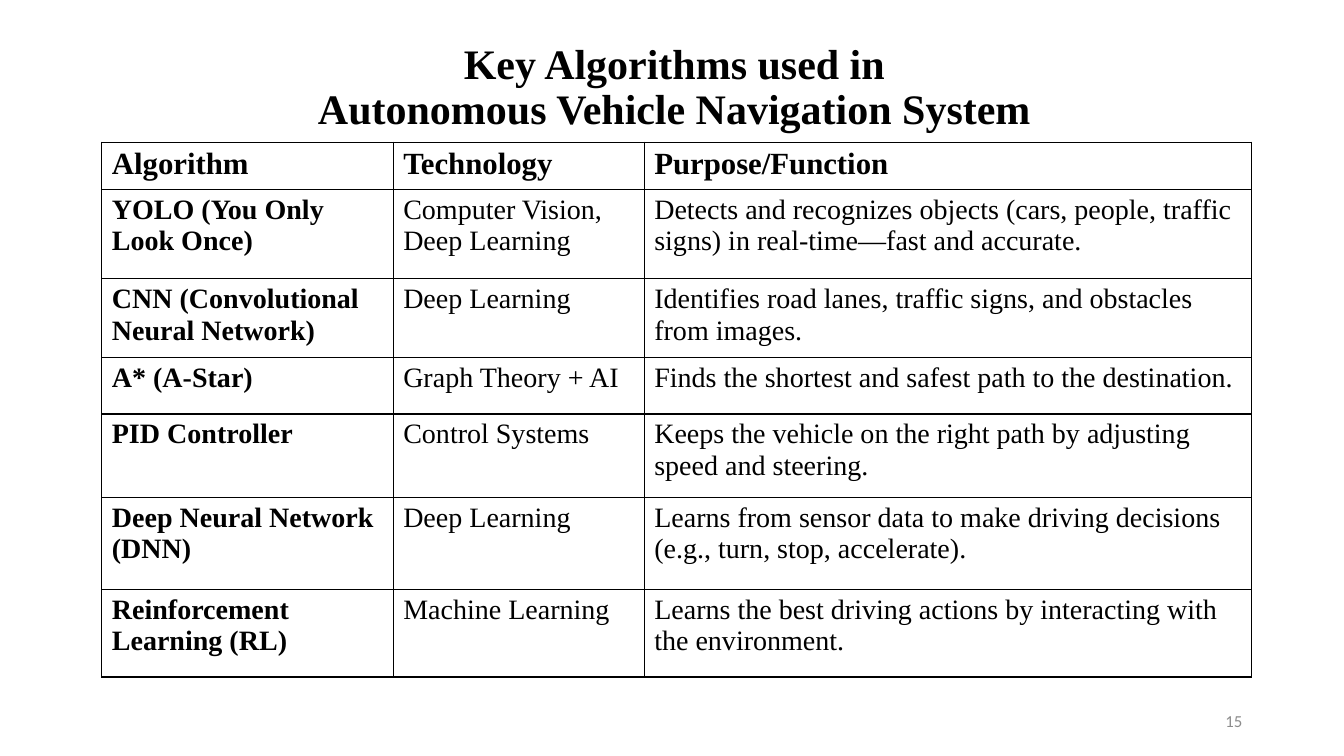
import pptx
import pptx.dml.color
import pptx.enum.text
import pptx.oxml
import pptx.oxml.ns
import pptx.util

PX = 9144  # 100 px to the inch
COLORS = {"ink": "000000", "paper": "FFFFFF", "number": "8C8C8C"}
ALIGN = pptx.enum.text.PP_ALIGN
MIDDLE = pptx.enum.text.MSO_ANCHOR.MIDDLE

COLUMN_WIDTHS = [289, 249, 602]
ROW_HEIGHTS = [44, 89, 78, 56, 83, 91, 87]
ROWS = [
    ("Algorithm", "Technology", "Purpose/Function"),
    ("YOLO (You Only Look Once)", "Computer Vision, Deep Learning",
     "Detects and recognizes objects (cars, people, traffic signs) in real-time—fast and accurate."),
    ("CNN (Convolutional Neural Network)", "Deep Learning",
     "Identifies road lanes, traffic signs, and obstacles from images."),
    ("A* (A-Star)", "Graph Theory + AI",
     "Finds the shortest and safest path to the destination."),
    ("PID Controller", "Control Systems",
     "Keeps the vehicle on the right path by adjusting speed and steering."),
    ("Deep Neural Network (DNN)", "Deep Learning",
     "Learns from sensor data to make driving decisions (e.g., turn, stop, accelerate)."),
    ("Reinforcement Learning (RL)", "Machine Learning",
     "Learns the best driving actions by interacting with the environment."),
]


def px(*lengths):
    return [pptx.util.Emu(length * PX) for length in lengths]


def color(name):
    return pptx.dml.color.RGBColor.from_string(COLORS[name])


def write(frame, text, size=20, font="Times New Roman", ink="ink", bold=False,
          align=ALIGN.LEFT, spacing=None):
    """Fill a text frame with one formatted paragraph; \\v breaks a line."""
    frame.word_wrap = True
    para = frame.paragraphs[0]
    para.text = text
    para.alignment = align
    para.line_spacing = spacing
    for span in para.runs:
        span.font.size = pptx.util.Pt(size)
        span.font.name = font
        span.font.bold = bold
        span.font.color.rgb = color(ink)


def add_text(page, left, top, width, height, text, **look):
    box = page.shapes.add_textbox(*px(left, top, width, height))
    box.text_frame.vertical_anchor = MIDDLE
    write(box.text_frame, text, **look)


def style_cell(cell):
    """Draw a thin border on every side, then the plain fill."""
    properties = cell._tc.get_or_add_tcPr()
    for side in ("lnL", "lnR", "lnT", "lnB"):
        properties.append(pptx.oxml.parse_xml(
            f'<a:{side} {pptx.oxml.ns.nsdecls("a")} w="12700"><a:solidFill>'
            f'<a:srgbClr val="{COLORS["ink"]}"/></a:solidFill></a:{side}>'))
    cell.fill.solid()
    cell.fill.fore_color.rgb = color("paper")


def add_grid(page, left, top):
    size = px(left, top, sum(COLUMN_WIDTHS), sum(ROW_HEIGHTS))
    table = page.shapes.add_table(len(ROWS), len(COLUMN_WIDTHS), *size).table
    for column, width in zip(table.columns, px(*COLUMN_WIDTHS)):
        column.width = width
    for row, height in zip(table.rows, px(*ROW_HEIGHTS)):
        row.height = height
    for r, texts in enumerate(ROWS):
        for c, text in enumerate(texts):
            cell = table.cell(r, c)
            style_cell(cell)
            write(cell.text_frame, text, size=22 if r == 0 else 20,
                  bold=r == 0 or c == 0)


def main():
    deck = pptx.Presentation()
    deck.slide_width, deck.slide_height = px(1333, 750)
    page = deck.slides.add_slide(deck.slide_layouts[6])

    # Title
    add_text(page, 94, 15, 1150, 145,
             "Key Algorithms used in\vAutonomous Vehicle Navigation System",
             size=30, bold=True, align=ALIGN.CENTER, spacing=0.9)
    # Slide number
    add_text(page, 942, 695, 300, 40, "15", size=12, font="Calibri",
             ink="number", align=ALIGN.RIGHT)
    # Algorithm table
    add_grid(page, 101, 141)

    deck.save("out.pptx")


if __name__ == "__main__":
    main()
